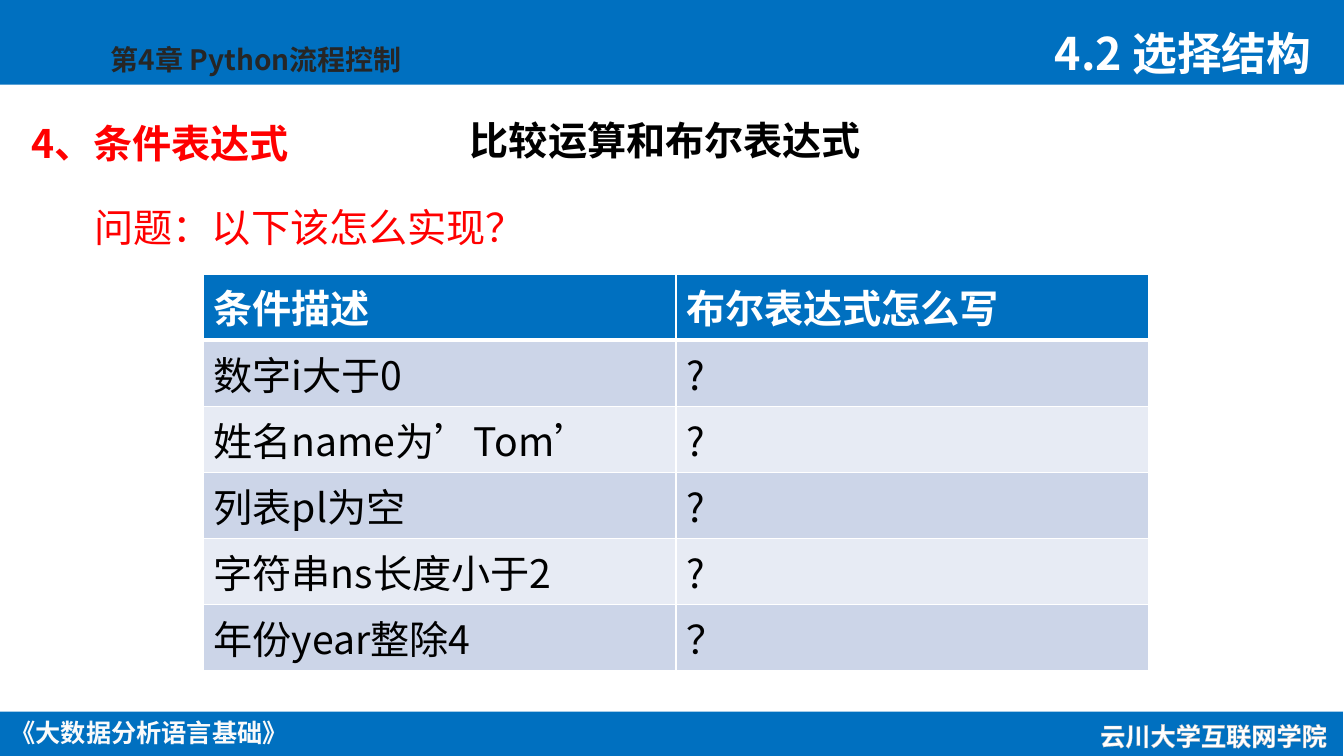
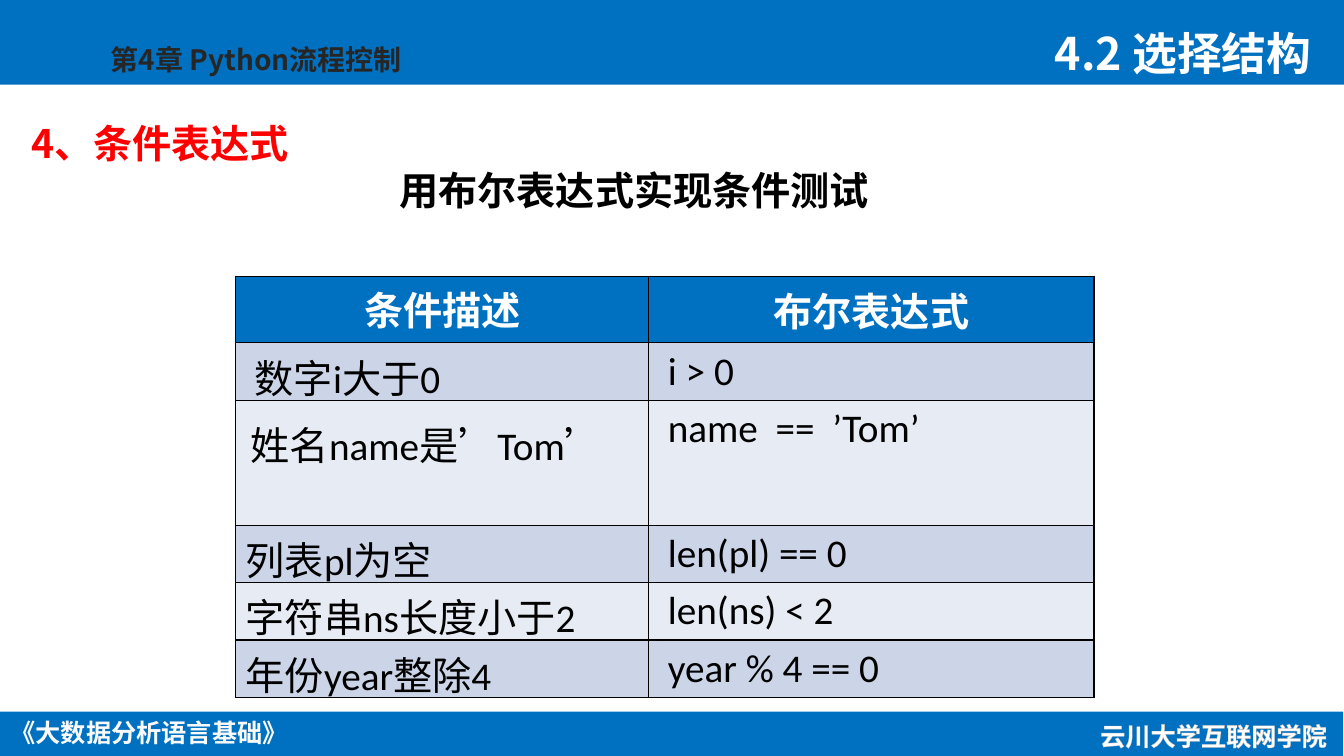
from lxml import etree
from pptx import Presentation
from pptx.dml.color import RGBColor
from pptx.enum import shapes, text
from pptx.oxml.ns import qn
from pptx.util import Inches, Pt

COLORS = {
    "blue": "0070C0", "red": "FF0000", "black": "000000", "white": "FFFFFF",
    "chapter": "262626", "course": "FAFAFA", "silver": "BFBFBF",
    "band_dark": "CCD5E8", "band_light": "E7EBF4",
}
SANS = "Noto Sans CJK SC"
LATIN = "Calibri"
WIDTH, HEIGHT = 13.34, 7.5
CENTER = text.PP_ALIGN.CENTER

QUIZ_ROWS = [
    ("条件描述", "布尔表达式怎么写"),
    ("数字i大于0", "?"),
    ("姓名name为’Tom’", "?"),
    ("列表pl为空", "?"),
    ("字符串ns长度小于2", "?"),
    ("年份year整除4", "？"),
]
ANSWER_ROWS = [
    ("条件描述", "布尔表达式"),
    ("数字i大于0", "i > 0"),
    ("姓名name是’Tom’", "name  ==  ’Tom’"),
    ("列表pl为空", "len(pl) == 0"),
    ("字符串ns长度小于2", "len(ns) < 2"),
    ("年份year整除4", "year % 4 == 0"),
]


def rgb(name):
    """Return the named colour."""
    return RGBColor.from_string(COLORS[name])


def add_line_xml(parent, tag, color, width, index):
    """Insert a solid line definition into an XML parent."""
    ln = etree.Element(qn(tag), w=str(Pt(width)))
    fill = etree.SubElement(ln, qn("a:solidFill"))
    etree.SubElement(fill, qn("a:srgbClr"), val=COLORS[color])
    parent.insert(index, ln)


def style_paragraph(p, size, color, bold=False, font=SANS, outline=None):
    """Set the font of a paragraph, with an optional text outline."""
    p.font.size = Pt(size)
    p.font.bold = bold
    p.font.name = font
    p.font.color.rgb = rgb(color)
    props = p._p.pPr.find(qn("a:defRPr"))
    if font == SANS:
        etree.SubElement(props, qn("a:ea"), typeface=font)
    if outline:
        add_line_xml(props, "a:ln", *outline, 0)


def add_text(slide, box, content, size, color, bold=True, wrap=True,
             anchor=text.MSO_ANCHOR.TOP, outline=None):
    """Add a one-paragraph text box; unwrapped text is centred."""
    tf = slide.shapes.add_textbox(*map(Inches, box)).text_frame
    tf.word_wrap = wrap
    tf.vertical_anchor = anchor
    p = tf.paragraphs[0]
    p.text = content
    if not wrap:
        p.alignment = CENTER
    style_paragraph(p, size, color, bold, outline=outline)
    return p


def add_band(slide, left, top, height):
    """Add a full-width blue band."""
    box = map(Inches, (left, top, WIDTH, height))
    sp = slide.shapes.add_shape(shapes.MSO_SHAPE.RECTANGLE, *box)
    sp.shadow.inherit = False
    sp.fill.solid()
    sp.fill.fore_color.rgb = rgb("blue")
    sp.line.fill.background()


def add_frame(prs):
    """Add a slide with the shared bands, footers and titles."""
    slide = prs.slides.add_slide(prs.slide_layouts[6])
    add_band(slide, 0, 0, 0.84)
    add_band(slide, -0.01, 7.06, 0.45)
    add_text(slide, (-0.01, 7.07, 2.98, 0.4), "《大数据分析语言基础》", 18,
             "course", wrap=False)
    add_text(slide, (1, 0.37, 3.78, 0.44), "第4章 Python流程控制", 20,
             "chapter", outline=("white", 1.06))
    add_text(slide, (10.81, 7.1, 2.47, 0.4), "云川大学互联网学院", 18,
             "white", wrap=False, outline=("silver", 0.8))
    p = add_text(slide, (0.21, 1, 9.02, 0.71), "4、条件表达式", 28, "red",
                 anchor=text.MSO_ANCHOR.BOTTOM)
    p.line_spacing = 0.9
    add_text(slide, (10.37, 0.21, 3.3, 0.64), "4.2 选择结构", 32, "white")
    return slide


def add_grid(slide, left, top, widths, heights, rows, font, border):
    """Add a banded table with a blue header and return it."""
    box = map(Inches, (left, top, sum(widths), sum(heights)))
    tbl = slide.shapes.add_table(len(rows), len(widths), *box).table
    tbl.first_row = tbl.horz_banding = False
    for column, width in zip(tbl.columns, widths):
        column.width = Inches(width)
    for i, (row, height) in enumerate(zip(rows, heights)):
        tbl.rows[i].height = Inches(height)
        header = i == 0
        band = "blue" if header else ("band_light", "band_dark")[i % 2]
        for j, content in enumerate(row):
            cell = tbl.cell(i, j)
            cell.fill.solid()
            cell.fill.fore_color.rgb = rgb(band)
            for k, side in enumerate("LRTB"):
                add_line_xml(cell._tc.tcPr, f"a:ln{side}", border, 1, k)
            p = cell.text_frame.paragraphs[0]
            p.text = content
            style_paragraph(p, 28, "white" if header else "black", header, font)
    return tbl


def quiz_slide(prs):
    """Build the slide that asks for the expressions."""
    slide = add_frame(prs)
    add_text(slide, (4.54, 1.1, 4.13, 0.57), "比较运算和布尔表达式", 28,
             "black", wrap=False)
    add_text(slide, (0.84, 1.78, 8.83, 0.94), "问题：以下该怎么实现？", 28,
             "red", bold=False, anchor=text.MSO_ANCHOR.MIDDLE)
    tbl = add_grid(slide, 2.02, 2.72, [4.69] * 2, [0.62] * 6, QUIZ_ROWS,
                   SANS, "white")
    for cell in tbl.iter_cells():
        cell.text_frame.paragraphs[0].line_spacing = Pt(40)
    for j in range(2):
        for row, side in ((0, "B"), (1, "T")):
            ln = tbl.cell(row, j)._tc.tcPr.find(qn(f"a:ln{side}"))
            ln.set("w", str(Pt(3)))


def answer_slide(prs):
    """Build the slide that gives the expressions."""
    slide = add_frame(prs)
    add_text(slide, (3.84, 1.6, 4.91, 0.57), "用布尔表达式实现条件测试", 28,
             "black", wrap=False)
    heights = [0.66, 0.57, 1.24, 0.57, 0.57, 0.57]
    tbl = add_grid(slide, 2.34, 2.74, [4.1, 4.42], heights, ANSWER_ROWS,
                   LATIN, "black")
    for j in range(2):
        tbl.cell(0, j).text_frame.paragraphs[0].alignment = CENTER
    tbl.cell(0, 0).text_frame.paragraphs[0].line_spacing = Pt(40)
    indented = [tbl.cell(1, 0)] + [tbl.cell(i, 1) for i in range(1, 6)]
    for cell in indented:
        cell.margin_left = Inches(0.19)
    name = tbl.cell(2, 0)
    name.margin_left = name.margin_right = Inches(0.15)
    name.margin_top = name.margin_bottom = Inches(0.15)


def main():
    """Build and save the presentation."""
    prs = Presentation()
    prs.slide_width, prs.slide_height = Inches(WIDTH), Inches(HEIGHT)
    quiz_slide(prs)
    answer_slide(prs)
    prs.save("out.pptx")


if __name__ == "__main__":
    main()
